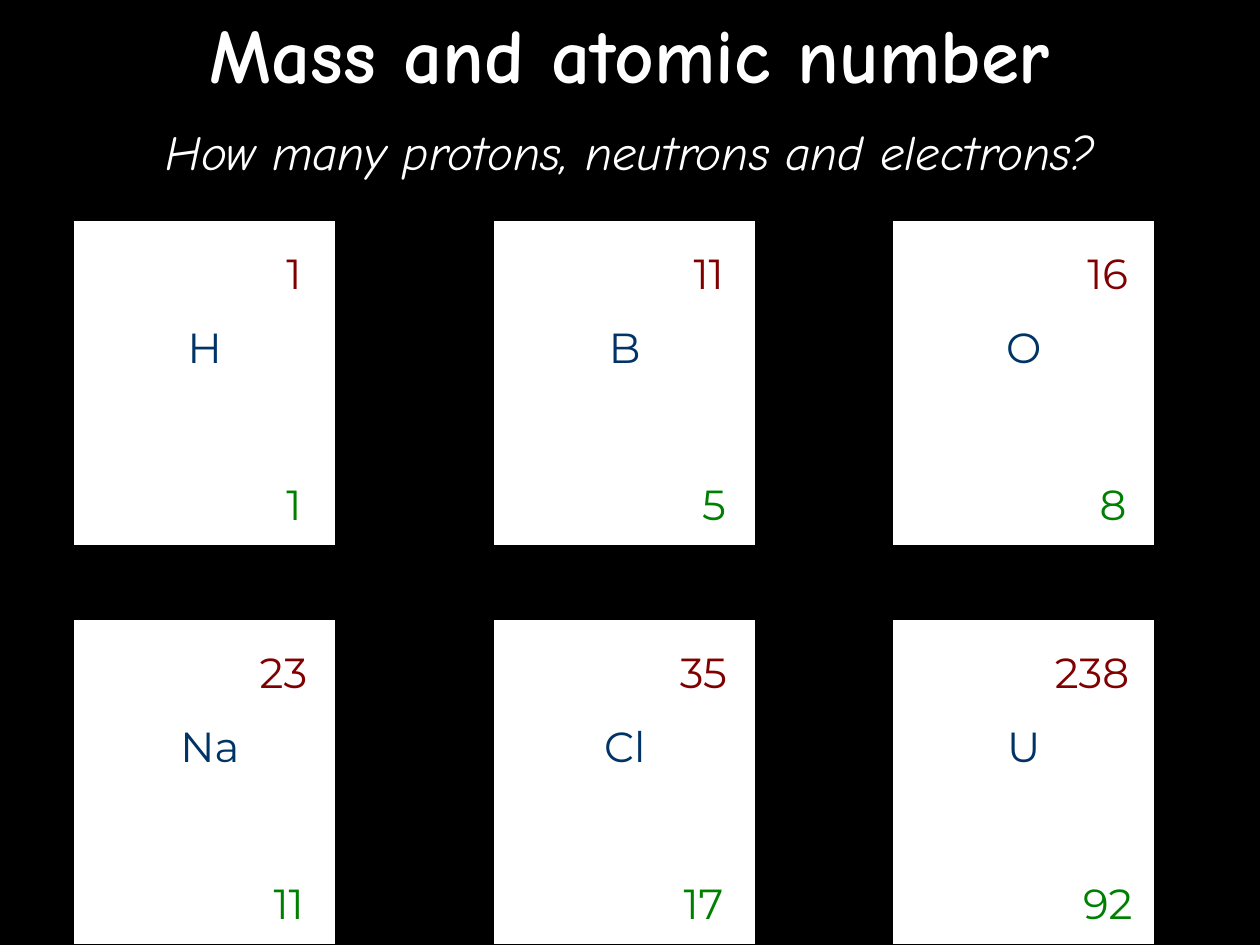
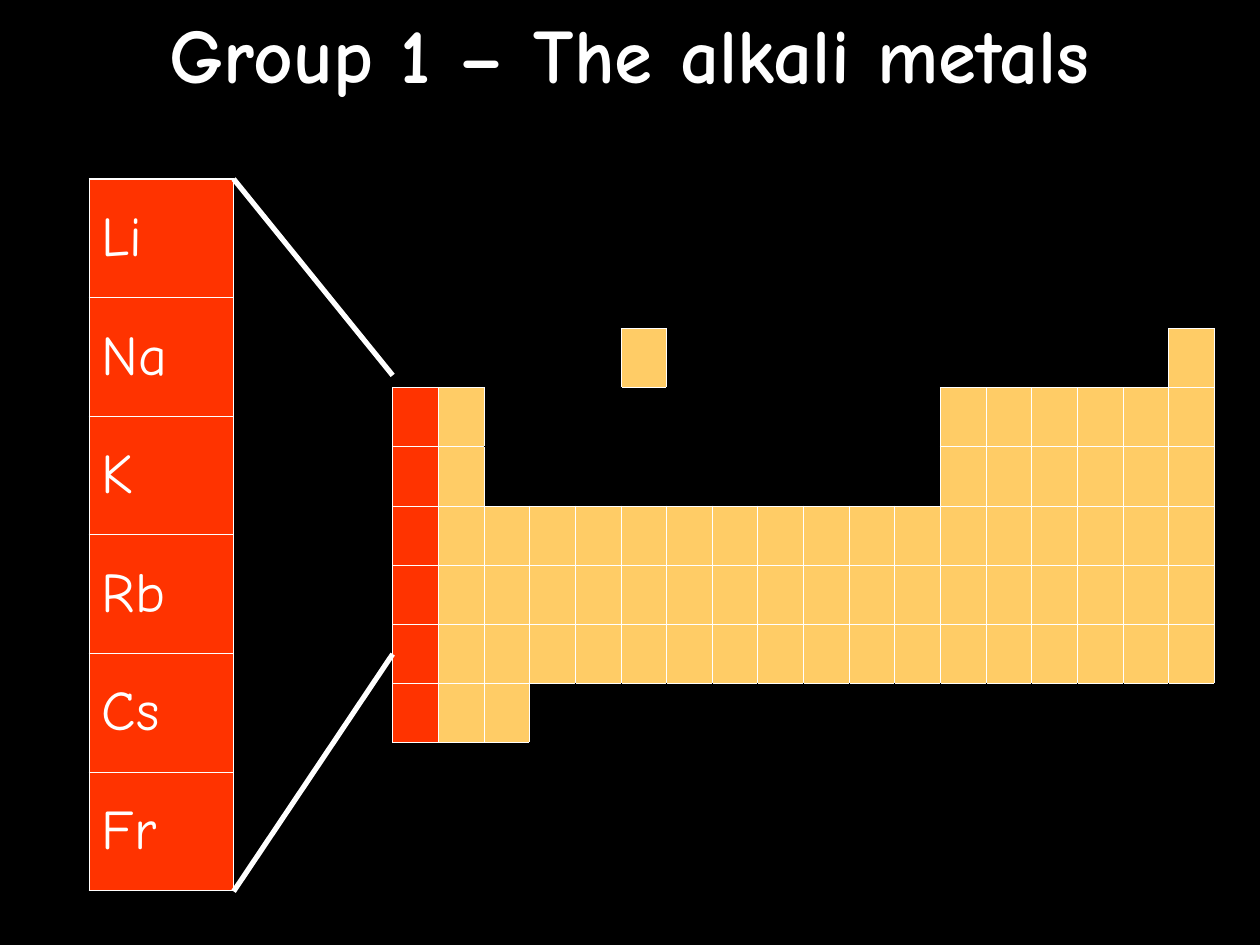
from dataclasses import dataclass

from lxml.etree import SubElement
from pptx import Presentation
from pptx.dml.color import RGBColor
from pptx.enum.shapes import MSO_CONNECTOR as Connector, MSO_SHAPE as Shape
from pptx.enum.text import MSO_ANCHOR as Anchor, PP_ALIGN as Align
from pptx.oxml.ns import qn
from pptx.util import Inches, Pt


@dataclass(frozen=True)
class Theme:
    black: str = "000000"
    white: str = "FFFFFF"
    symbol: str = "003366"
    mass: str = "800000"
    number: str = "008000"
    alkali: str = "FF3300"
    other: str = "FFCC66"
    heading_font: str = "Comic Neue"
    card_font: str = "Montserrat"
    title_size: int = 44
    question_size: int = 28
    card_size: int = 24
    group_size: int = 32


@dataclass(frozen=True)
class Element:
    symbol: str
    mass: str
    number: str
    symbol_left: int
    symbol_width: int
    mass_width: int
    number_width: int


THEME = Theme()
COLUMNS, ROWS = 120, 90
CARD_LEFTS = (7, 47, 85)
CARD_TOPS = (21, 59)
CARD_WIDTH, CARD_HEIGHT, CARD_TEXT_RIGHT = 25, 31, 23
ELEMENTS = (
    Element("H", "1", "1", 7, 11, 4, 4),
    Element("B", "11", "5", 7, 11, 5, 4),
    Element("O", "16", "8", 7, 11, 5, 4),
    Element("Na", "23", "11", 4, 18, 6, 5),
    Element("Cl", "35", "17", 5, 15, 6, 6),
    Element("U", "238", "92", 7, 11, 8, 5),
)
ALKALI_METALS = ("Li", "Na", "K", "Rb", "Cs", "Fr")
PERIODIC_ROWS = (
    ".....o...........o",
    "ao..........oooooo",
    "ao..........oooooo",
    "a" + "o" * 17,
    "a" + "o" * 17,
    "a" + "o" * 17,
    "aoo...............",
)


def grid(*cells):
    return [Inches(cell / 12) for cell in cells]


def color(value):
    return RGBColor.from_string(value)


def style_text(frame, font, size, ink, bold=False, italic=False):
    for paragraph in frame.paragraphs:
        for span in paragraph.runs:
            span.font.name = font
            span.font.size = Pt(size)
            span.font.color.rgb = color(ink)
            span.font.bold = bold
            span.font.italic = italic


def add_text(page, area, text, font, size, ink, anchor=Anchor.TOP, **emphasis):
    frame = page.shapes.add_textbox(*grid(*area)).text_frame
    frame.text = text
    frame.word_wrap = True
    frame.margin_left = frame.margin_right = 0
    frame.vertical_anchor = anchor
    frame.paragraphs[0].alignment = Align.CENTER
    style_text(frame, font, size, ink, **emphasis)


def add_page(deck, title):
    page = deck.slides.add_slide(deck.slide_layouts[6])
    page.background.fill.solid()
    page.background.fill.fore_color.rgb = color(THEME.black)
    add_text(page, (0, 0, COLUMNS, 10), title, THEME.heading_font,
             THEME.title_size, THEME.white, anchor=Anchor.MIDDLE, bold=True)
    return page


def add_card(page, left, top, element):
    card = page.shapes.add_shape(Shape.RECTANGLE, *grid(left, top, CARD_WIDTH, CARD_HEIGHT))
    card.shadow.inherit = False
    card.fill.solid()
    card.fill.fore_color.rgb = color(THEME.white)
    card.line.color.rgb = color(THEME.black)
    card.line.width = Pt(0.75)
    labels = (
        (element.symbol, element.symbol_left, 9, element.symbol_width, 12.5, THEME.symbol),
        (element.number, CARD_TEXT_RIGHT - element.number_width, 24,
         element.number_width, 4.5, THEME.number),
        (element.mass, CARD_TEXT_RIGHT - element.mass_width, 2,
         element.mass_width, 5, THEME.mass),
    )
    for text, across, down, width, height, ink in labels:
        add_text(page, (left + across, top + down, width, height), text,
                 THEME.card_font, THEME.card_size, ink)


def paint_cell(cell, fill, borders, width):
    cell.fill.solid()
    cell.fill.fore_color.rgb = color(fill)
    properties = cell._tc.get_or_add_tcPr()
    for index, (side, ink) in enumerate(zip("LRTB", borders)):
        line = SubElement(properties, qn(f"a:ln{side}"), w=str(Pt(width)))
        SubElement(SubElement(line, qn("a:solidFill")), qn("a:srgbClr"), val=ink)
        properties.insert(index, line)


def add_plain_table(page, area, rows, columns):
    table = page.shapes.add_table(rows, columns, *grid(*area)).table
    table.first_row = False
    table.horz_banding = False
    for column in table.columns:
        column.width = Inches(area[2] / columns / 12)
    for row in table.rows:
        row.height = Inches(area[3] / rows / 12)
    return table


def is_element(row, column):
    inside = 0 <= row < len(PERIODIC_ROWS) and 0 <= column < len(PERIODIC_ROWS[0])
    return inside and PERIODIC_ROWS[row][column] != "."


def add_periodic_table(page, area):
    table = add_plain_table(page, area, len(PERIODIC_ROWS), len(PERIODIC_ROWS[0]))
    fills = {"a": THEME.alkali, "o": THEME.other, ".": THEME.black}
    for row, marks in enumerate(PERIODIC_ROWS):
        for column, mark in enumerate(marks):
            neighbours = ((row, column - 1), (row, column + 1),
                          (row - 1, column), (row + 1, column))
            borders = [THEME.white if mark != "." or is_element(*spot) else THEME.black
                       for spot in neighbours]
            paint_cell(table.cell(row, column), fills[mark], borders, 0.45)


def add_group_table(page, area):
    table = add_plain_table(page, area, len(ALKALI_METALS), 1)
    for row, symbol in enumerate(ALKALI_METALS):
        cell = table.cell(row, 0)
        cell.text_frame.text = symbol
        cell.vertical_anchor = Anchor.MIDDLE
        style_text(cell.text_frame, THEME.heading_font, THEME.group_size, THEME.white)
        paint_cell(cell, THEME.alkali, [THEME.white] * 4, 0.75)


def add_line(page, start, end):
    line = page.shapes.add_connector(Connector.STRAIGHT, *grid(*start, *end))
    line.line.color.rgb = color(THEME.white)
    line.line.width = Pt(3)
    SubElement(line._element.spPr, qn("a:effectLst"))


def build_atomic_numbers(deck):
    page = add_page(deck, "Mass and atomic number")
    for index, element in enumerate(ELEMENTS):
        row, column = divmod(index, len(CARD_LEFTS))
        add_card(page, CARD_LEFTS[column], CARD_TOPS[row], element)
    add_text(page, (0, 11, COLUMNS, 6.8), "How many protons, neutrons and electrons?",
             THEME.heading_font, THEME.question_size, THEME.white, italic=True)


def build_alkali_metals(deck):
    page = add_page(deck, "Group 1 – The alkali metals")
    add_periodic_table(page, (37.4, 31.3, 78.25, 39.4))
    add_group_table(page, (8.5, 17.05, 13.75, 67.8))
    add_line(page, (37.4, 35.75), (22.25, 17.05))
    add_line(page, (37.4, 62.3), (22.25, 84.9))


def main():
    deck = Presentation()
    deck.slide_width, deck.slide_height = grid(COLUMNS, ROWS)
    build_atomic_numbers(deck)
    build_alkali_metals(deck)
    deck.save("out.pptx")


if __name__ == "__main__":
    main()
